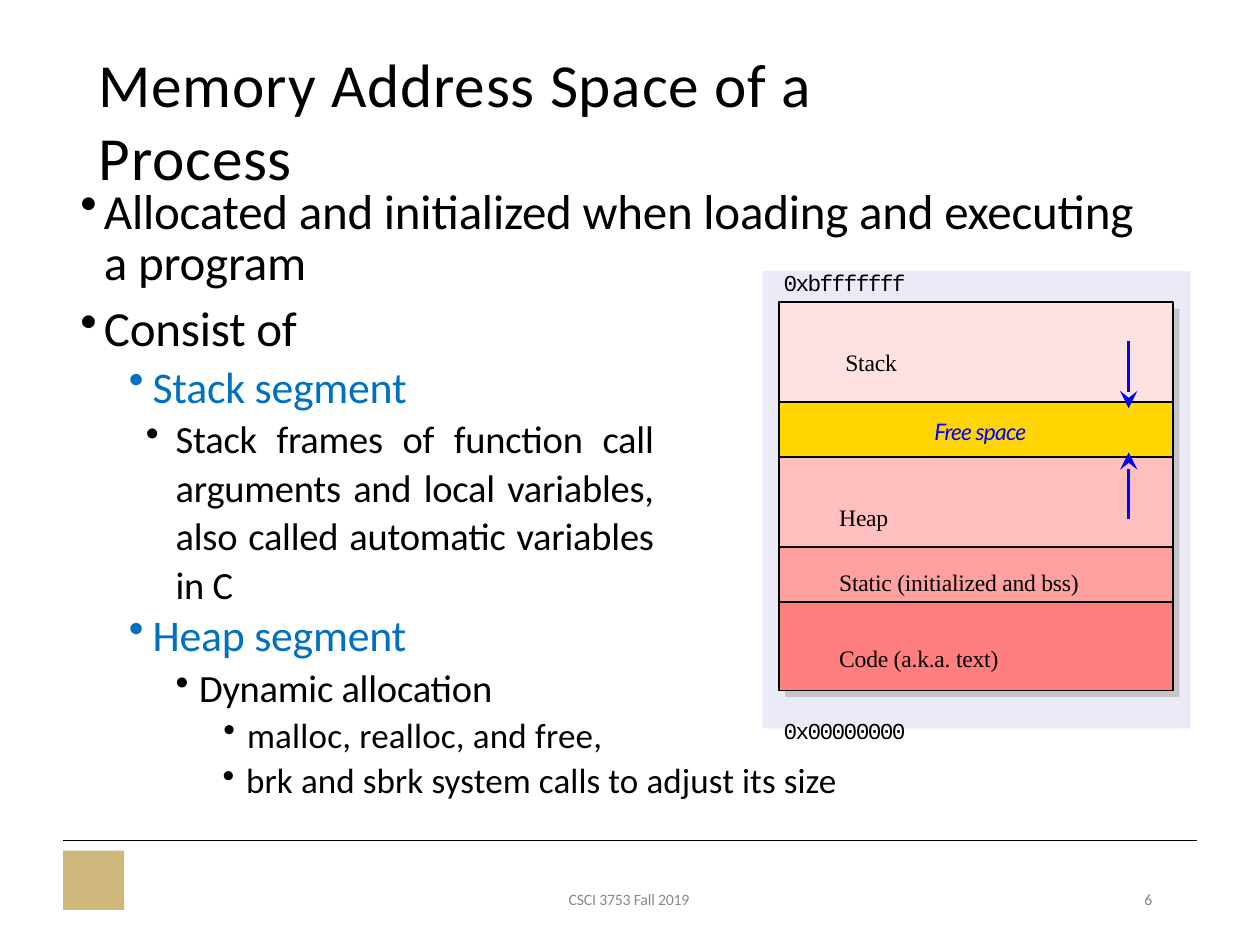
import dataclasses
import itertools
import pptx
import pptx.dml.color
import pptx.enum.shapes
import pptx.enum.text
import pptx.oxml
import pptx.oxml.ns
import pptx.util

Pt = pptx.util.Pt
ALIGN = pptx.enum.text.PP_ALIGN
COLORS = {
    "text": "000000", "segment": "0070C0", "footer": "898989",
    "emblem": "CFB87C", "panel": "EBEBF7", "shade": "C6C5C8",
    "stack": "FFE1E1", "free": "FFD600", "heap": "FFBFBF",
    "static": "FFA1A1", "code": "FF7F7F", "growth": "0000FF",
}
FRAME = {
    "word_wrap": True, "margin_left": 0, "margin_right": 0, "margin_bottom": 0,
    "vertical_anchor": pptx.enum.text.MSO_ANCHOR.TOP,
}


@dataclasses.dataclass
class Line:
    text: str
    size: float
    color: str = "text"
    font: str = "Calibri"
    left: float = 0
    hanging: float = 0
    before: float = 0
    spacing: float = 0
    level: int = 0
    italic: bool = False
    align: ALIGN = ALIGN.LEFT
    leading: float | pptx.util.Length | None = None


@dataclasses.dataclass
class Segment:
    name: str
    height: float


@dataclasses.dataclass
class Growth:
    start: float
    end: float


def rgb(name: str) -> pptx.dml.color.RGBColor:
    return pptx.dml.color.RGBColor.from_string(COLORS[name])


def apply(target: object, values: dict) -> None:
    for name, value in values.items():
        setattr(target, name, value)


def add_text(left: float, top: float, width: float, height: float,
             lines: list[Line], margin_top: float = 1) -> None:
    frame = slide.shapes.add_textbox(Pt(left), Pt(top), Pt(width), Pt(height)).text_frame
    apply(frame, FRAME | {"margin_top": Pt(margin_top)})
    for index, line in enumerate(lines):
        paragraph = frame.add_paragraph() if index else frame.paragraphs[0]
        apply(paragraph, {
            "alignment": line.align, "level": line.level,
            "space_before": Pt(line.before), "line_spacing": line.leading,
        })
        run = paragraph.add_run()
        apply(run, {"text": line.text})
        apply(run.font, {"name": line.font, "size": Pt(line.size), "italic": line.italic})
        run.font.color.rgb = rgb(line.color)
        run.font._element.set("spc", str(round(line.spacing * 100)))
        properties = paragraph._p.get_or_add_pPr()
        properties.set("marL", str(Pt(line.left)))
        properties.set("indent", str(-Pt(line.hanging)))
        if line.hanging:
            bullet = pptx.oxml.parse_xml(
                f'<a:buChar {pptx.oxml.ns.nsdecls("a")} char="\u2022"/>')
            properties.append(bullet)


def add_block(left: float, top: float, width: float, height: float,
              fill: str, outlined: bool = False) -> None:
    block = slide.shapes.add_shape(
        pptx.enum.shapes.MSO_SHAPE.RECTANGLE, Pt(left), Pt(top), Pt(width), Pt(height))
    block.shadow.inherit = False
    block.fill.solid()
    block.fill.fore_color.rgb = rgb(fill)
    if outlined:
        block.line.color.rgb = rgb("text")
        block.line.width = Pt(1.06)
    else:
        block.line.fill.background()


def add_line(x1: float, y1: float, x2: float, y2: float,
             color: str, width: float, arrow: bool = False) -> None:
    line = slide.shapes.add_connector(
        pptx.enum.shapes.MSO_CONNECTOR.STRAIGHT, Pt(x1), Pt(y1), Pt(x2), Pt(y2))
    line.line.color.rgb = rgb(color)
    line.line.width = Pt(width)
    namespace = pptx.oxml.ns.nsdecls("a")
    if arrow:
        line.line._get_or_add_ln().append(pptx.oxml.parse_xml(
            f'<a:tailEnd {namespace} type="stealth" w="lg" len="lg"/>'))
    line._element.spPr.append(pptx.oxml.parse_xml(f"<a:effectLst {namespace}/>"))


deck = pptx.Presentation()
apply(deck, {"slide_width": Pt(720), "slide_height": Pt(540)})
slide = deck.slides.add_slide(deck.slide_layouts[6])

add_line(36, 480, 684, 480, "text", 0.5)
add_block(36, 486, 35, 34, "emblem")

add_text(55.4, 25.2, 522.7, 44.6, [
    Line("Memory Address Space of a Process", 35, left=1, before=1.3, spacing=0.45)])
add_text(45.4, 102.2, 609.8, 35.3, [
    Line("Allocated and initialized when loading and executing", 28,
         left=14, hanging=13.5, before=1, spacing=-0.1)])
add_text(45.4, 127.4, 328.3, 305.3, [
    Line("a program", 28, left=14, before=5.3, spacing=-0.1),
    Line("Consist of", 28, left=14, hanging=13.5, before=4.3, spacing=-0.1),
    Line("Stack segment", 25, "segment", left=41.8, hanging=13.5, before=1.4,
         spacing=-0.1, level=1),
    Line("Stack frames of function call arguments and local variables, "
         "also called automatic variables in C", 22, left=55, hanging=17, before=0.8,
         spacing=-0.1, level=2, align=ALIGN.JUSTIFY, leading=1.05),
    Line("Heap segment", 25, "segment", left=41.8, hanging=13.5, before=0.6,
         spacing=-0.1, level=1),
    Line("Dynamic allocation", 22, left=68.4, hanging=13.5, before=2,
         spacing=-0.1, level=2),
    Line("malloc, realloc, and free,", 20, left=95.8, hanging=13.5, before=1.6,
         spacing=0.1, level=3),
], margin_top=5)
add_text(126.7, 432.7, 358.6, 26, [
    Line("brk and sbrk system calls to adjust its size", 20,
         left=14, hanging=13.5, before=1, spacing=0.05)])

SEGMENTS = [Segment("stack", 56.9), Segment("free", 31.7), Segment("heap", 51.1),
            Segment("static", 31.7), Segment("code", 50.4)]
MEMORY_LEFT, MEMORY_TOP, MEMORY_WIDTH = 445, 172.8, 225.4
add_block(435.6, 154.8, 244.8, 261.4, "panel")
add_block(MEMORY_LEFT + 3.6, MEMORY_TOP + 3.6, MEMORY_WIDTH,
          sum(segment.height for segment in SEGMENTS), "shade")
segment_tops = itertools.accumulate(
    (segment.height for segment in SEGMENTS), initial=MEMORY_TOP)
for segment, segment_top in zip(SEGMENTS, segment_tops):
    add_block(MEMORY_LEFT, segment_top, MEMORY_WIDTH, segment.height, segment.name, True)

for growth in (Growth(195, 233.3), Growth(296.6, 258.5)):
    add_line(645, growth.start, 645, growth.end, "growth", 1.5, True)

ADDRESS = {"size": 13, "font": "Courier New", "left": 12.2, "spacing": -0.9}
LABEL = {"size": 13.5, "font": "Times New Roman", "left": 44, "spacing": -0.1}
add_text(435.6, 154.8, 244.8, 259.2, [
    Line("0xbfffffff", leading=Pt(14.4), **ADDRESS),
    Line("Stack", before=29.8, **(LABEL | {"left": 47.5})),
    Line("Free space", 13, "growth", "Lato", left=4.3, before=23.3, spacing=-0.45,
         italic=True, align=ALIGN.CENTER),
    Line("Heap", before=33.5, **LABEL),
    Line("Static (initialized and bss)", before=20.5, **LABEL),
    Line("Code (a.k.a. text)", before=27.4, **LABEL),
    Line("0x00000000", before=25.7, **ADDRESS),
], margin_top=0)

FOOTER = {"size": 9, "color": "footer", "before": 0.6}
add_text(324, 507.6, 72.7, 13, [
    Line("CSCI 3753 Fall 2019", left=1, spacing=-0.1, **FOOTER)])
add_text(650.9, 507.6, 15.1, 13, [Line("6", left=3, **FOOTER)])

deck.save("out.pptx")
